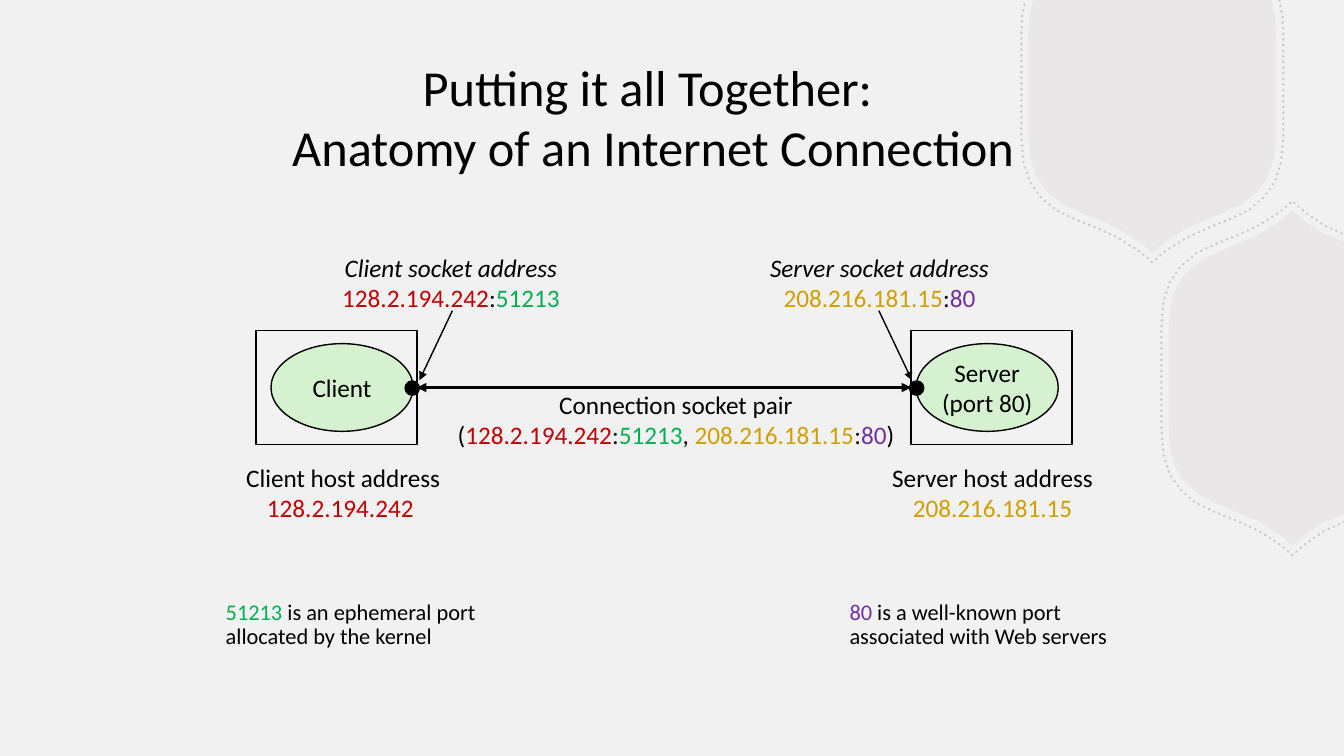
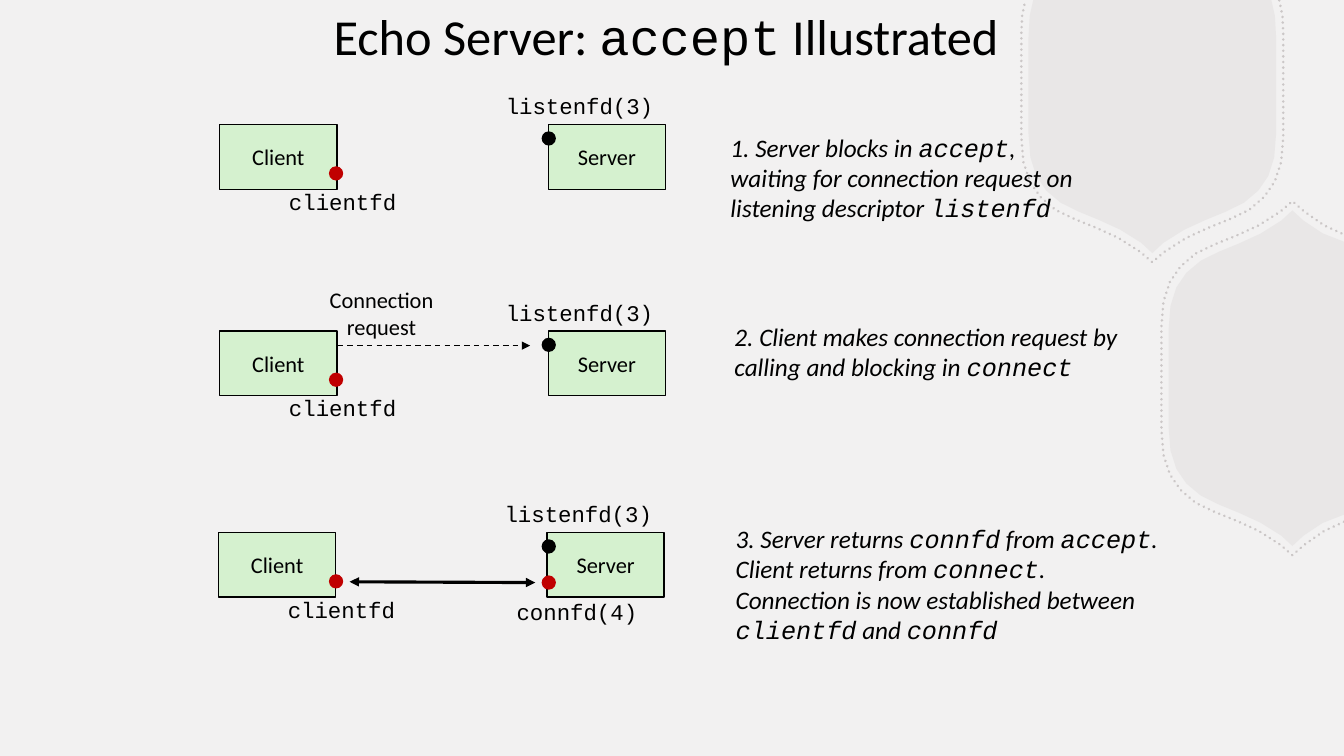
"""Build two slides on internet connections and the accept call of an echo server."""
from lxml import etree
from pptx import Presentation
from pptx import util as u
from pptx.dml.color import RGBColor
from pptx.enum import dml, shapes, text
from pptx.oxml.ns import qn

COLOURS = {
    "background": "F2F1F1", "hexagon": "B8B2B2", "host": "F2F2F2", "process": "D5F1CF",
    "black": "000000", "red": "C00000", "green": "00B050", "gold": "D09E00", "purple": "7030A0",
}
PALETTE = {name: RGBColor.from_string(value) for name, value in COLOURS.items()}
BODY_FONT, CODE_FONT = "Calibri", "Courier New"
DOT = 0.36
RECTANGLE, OVAL = shapes.MSO_SHAPE.RECTANGLE, shapes.MSO_SHAPE.OVAL
LEFT, CENTER = text.PP_ALIGN.LEFT, text.PP_ALIGN.CENTER
TOP, MIDDLE = text.MSO_ANCHOR.TOP, text.MSO_ANCHOR.MIDDLE


def add_box(slide, paragraphs, left, top, width, height, kind=None, fill=None, line=None,
            size=18, font=BODY_FONT, italic=False, align=CENTER, anchor=MIDDLE,
            wrap=False, spacing=None):
    """Add a text box or preset shape; a run is a string or a (string, style) pair."""
    place = [u.Cm(value) for value in (left, top, width, height)]
    if kind is None:
        shape = slide.shapes.add_textbox(*place)
    else:
        shape = slide.shapes.add_shape(kind, *place)
        shape.shadow.inherit = False
        shape.fill.solid()
        shape.fill.fore_color.rgb = PALETTE[fill]
        if line:
            shape.line.color.rgb = PALETTE[line]
            shape.line.width = u.Pt(1)
        else:
            shape.line.fill.background()
    frame = shape.text_frame
    frame.word_wrap = wrap
    frame.vertical_anchor = anchor
    for index, runs in enumerate(paragraphs):
        paragraph = frame.add_paragraph() if index else frame.paragraphs[0]
        paragraph.alignment = align
        paragraph.line_spacing = spacing
        for item in runs:
            if item == "\n":
                paragraph.add_line_break()
                continue
            words, style = (item, "black") if isinstance(item, str) else item
            run = paragraph.add_run()
            run.text = words
            run.font.size = u.Pt(size)
            run.font.name = CODE_FONT if style == "code" else font
            run.font.italic = italic or style == "italic"
            run.font.color.rgb = PALETTE.get(style, PALETTE["black"])
    return shape


def add_arrow(slide, start, end, weight=1, dash=None, both=False):
    """Add a straight arrow, with a head at both ends if asked."""
    points = [u.Cm(value) for value in (*start, *end)]
    connector = slide.shapes.add_connector(shapes.MSO_CONNECTOR.STRAIGHT, *points)
    connector.line.color.rgb = PALETTE["black"]
    connector.line.width = u.Pt(weight)
    if dash:
        connector.line.dash_style = dash
    properties = connector.element.spPr
    outline = properties.find(qn("a:ln"))
    for tag in ("a:headEnd", "a:tailEnd") if both else ("a:tailEnd",):
        etree.SubElement(outline, qn(tag), type="triangle")
    etree.SubElement(properties, qn("a:effectLst"))
    return connector


presentation = Presentation()
presentation.slide_width = u.Cm(33.87)
presentation.slide_height = u.Cm(19.05)
blank = presentation.slide_layouts[6]
anatomy = presentation.slides.add_slide(blank)
echo = presentation.slides.add_slide(blank)

master = presentation.slide_master
master.background.fill.solid()
master.background.fill.fore_color.rgb = PALETTE["background"]

SOLID = [(0, 4.23), (0.28, 3.97), (0.97, 3.45), (1.73, 3.3), (2.31, 2.96),
         (2.87, 2.58), (3.12, 2.12), (3.12, 1.22)]
DOTTED = [(0, 4.46), (0.3, 4.2), (1.02, 3.64), (1.83, 3.49), (2.44, 3.14),
          (3.02, 2.73), (3.3, 2.25), (3.3, 1.31)]
SOLID_ENDS = [(3, -2.15), (3.09, -1.75)], [(1.3, 3.44), (0.76, 3.65), (0.28, 3.97)]
DOTTED_ENDS = [(3.2, -2.14), (3.28, -1.75)], [(1.3, 3.62), (0.8, 3.85), (0.3, 4.2)]
STEPS = 4
shape_id = 100
for controls, ends, solid in ((SOLID, SOLID_ENDS, True), (DOTTED, DOTTED_ENDS, False)):
    quarter = controls[:2]
    for first in (1, 4):
        curve = controls[first:first + 4]
        for step in range(1, STEPS + 1):
            t = step / STEPS
            weights = ((1 - t) ** 3, 3 * t * (1 - t) ** 2, 3 * t ** 2 * (1 - t), t ** 3)
            quarter.append(tuple(sum(w * point[axis] for w, point in zip(weights, curve))
                                 for axis in (0, 1)))
    right = ends[0] + [(quarter[-1][0], -quarter[-1][1])] + quarter[::-1]
    lower = ends[1] + [(-x, y) for x, y in quarter]
    upper_ring = right + [(-x, y) for x, y in right[-2::-1]]
    lower_ring = lower + [(x, -y) for x, y in lower[::-1]]
    for center_x, center_y, ring in ((29.04, 2.15, upper_ring), (32.57, 9.53, lower_ring)):
        outline = [(u.Cm(center_x + x), u.Cm(center_y + y)) for x, y in ring]
        builder = anatomy.shapes.build_freeform(*outline[0])
        builder.add_line_segments(outline[1:], close=solid)
        hexagon = builder.convert_to_shape()
        hexagon.shadow.inherit = False
        if solid:
            hexagon.fill.solid()
            hexagon.fill.fore_color.rgb = PALETTE["hexagon"]
            hexagon.line.fill.background()
        else:
            hexagon.fill.background()
            hexagon.line.color.rgb = PALETTE["hexagon"]
            hexagon.line.width = u.Pt(2)
            hexagon.line.dash_style = dml.MSO_LINE.ROUND_DOT
            hexagon.element.spPr.find(qn("a:ln")).set("cap", "rnd")
        for colour in hexagon.element.spPr.iter(qn("a:srgbClr")):
            etree.SubElement(colour, qn("a:alpha"), val="15000" if solid else "65000")
        hexagon.element.nvSpPr.cNvPr.id = shape_id
        shape_id += 1
        master.element.cSld.spTree.append(hexagon.element)

CLIENT_IP, CLIENT_PORT = ("128.2.194.242", "red"), ("51213", "green")
SERVER_IP, SERVER_PORT = ("208.216.181.15", "gold"), ("80", "purple")

add_box(anatomy, [["Putting it all Together: ", "\n", "Anatomy of an Internet Connection"]],
        5.29, 0.52, 22.35, 4.83, size=36, wrap=True)
hosts = []
for label, host_left, process_left in (([["Client"]], 6.45, 6.83),
                                       ([["Server"], ["(port 80)"]], 22.96, 23.09)):
    hosts.append(add_box(anatomy, [], host_left, 8.33, 4.06, 2.87,
                         kind=RECTANGLE, fill="host", line="black"))
    add_box(anatomy, label, process_left, 8.66, 3.58, 2.21,
            kind=OVAL, fill="process", line="black")
connection = add_arrow(anatomy, (10.51, 9.77), (22.96, 9.77), weight=2.25, both=True)
connection.begin_connect(hosts[0], 3)
connection.end_connect(hosts[1], 1)
for dot_left in (10.21, 22.92):
    add_box(anatomy, [], dot_left, 9.6, DOT, DOT, kind=OVAL, fill="black", line="black")
add_box(anatomy, [["Connection socket pair"],
                  ["(", CLIENT_IP, ":", CLIENT_PORT, ", ", SERVER_IP, ":", SERVER_PORT, ")"]],
        11.23, 9.67, 11.61, 1.8)

for name, address, port, left, width in (("Client", CLIENT_IP, CLIENT_PORT, 8.34, 6.05),
                                         ("Server", SERVER_IP, SERVER_PORT, 18.57, 7.19)):
    add_box(anatomy, [[(f"{name} socket address", "italic")], [address, ":", port]],
            left, 6.22, width, 1.8, wrap=name == "Server")
for start_x, end_x in ((11.4, 10.57), (22.15, 22.98)):
    add_arrow(anatomy, (start_x, 7.83), (end_x, 9.58))
for name, address, left, width in (("Client", ("128.2.194.242 ", "red"), 5.92, 5.46),
                                   ("Server", SERVER_IP, 22.21, 5.61)):
    add_box(anatomy, [[f"{name} host address"], [address]], left, 11.51, width, 1.8)
for port, start, rest, left in (
        (CLIENT_PORT, " is an ephemeral port", "allocated by the kernel", 5.44),
        (SERVER_PORT, " is a well-known port", "associated with Web servers", 21.16)):
    add_box(anatomy, [[port, start], [rest]], left, 15.02, 7.05, 1.5,
            size=16, align=LEFT, anchor=TOP, spacing=0.9)

add_box(echo, [["Echo Server: ", ("accept", "code"), " Illustrated"]],
        5.14, 0, 23.29, 1.78, size=36, wrap=True)
steps = [
    (5.54, 3.14, (18.16, 3.19, 9.14, 2.57),
     ["1. Server blocks in ", ("accept", "code"),
      ", waiting for connection request on listening descriptor ", ("listenfd", "code")]),
    (5.54, 8.34, (18.26, 7.95, 10.74, 1.8),
     ["2. Client makes connection request by calling and blocking in ", ("connect", "code")]),
    (5.51, 13.42, (18.29, 13.04, 11.15, 3.35),
     ["3. Server returns ", ("connfd", "code"), " from ", ("accept", "code"),
      ". Client returns from ", ("connect", "code"),
      ". Connection is now established between ", ("clientfd", "code"), " and ",
      ("connfd", "code")]),
]
for left, top, place, description in steps:
    for name, box_left in (("Client", left), ("Server", left + 8.28)):
        add_box(echo, [[name]], box_left, top, 2.95, 1.63,
                kind=RECTANGLE, fill="process", line="black", size=16)
    add_box(echo, [["listenfd(3)"]], left + 6.93, top - 0.94, 4.27, 0.94,
            size=16, font=CODE_FONT)
    add_box(echo, [["clientfd"]], left + 1.47, top + 1.47, 3.25, 0.94,
            size=16, font=CODE_FONT)
    add_box(echo, [], 8.29, top + 1.05, DOT, DOT, kind=OVAL, fill="red")
    add_box(echo, [], 13.65, top + 0.17, DOT, DOT, kind=OVAL, fill="black")
    add_box(echo, [description], *place, italic=True, align=LEFT, wrap=True)

add_arrow(echo, (8.51, 8.71), (13.36, 8.71), dash=dml.MSO_LINE.DASH)
add_box(echo, [["Connection"], ["request"]], 8.04, 7.08, 3.15, 1.63, size=16)
add_arrow(echo, (8.81, 14.66), (13.49, 14.68), weight=2.25, both=True)
add_box(echo, [], 13.65, 14.5, DOT, DOT, kind=OVAL, fill="red")
add_box(echo, [["connfd(4)"]], 12.75, 14.94, 3.58, 0.94, size=16, font=CODE_FONT)

presentation.save("out.pptx")
